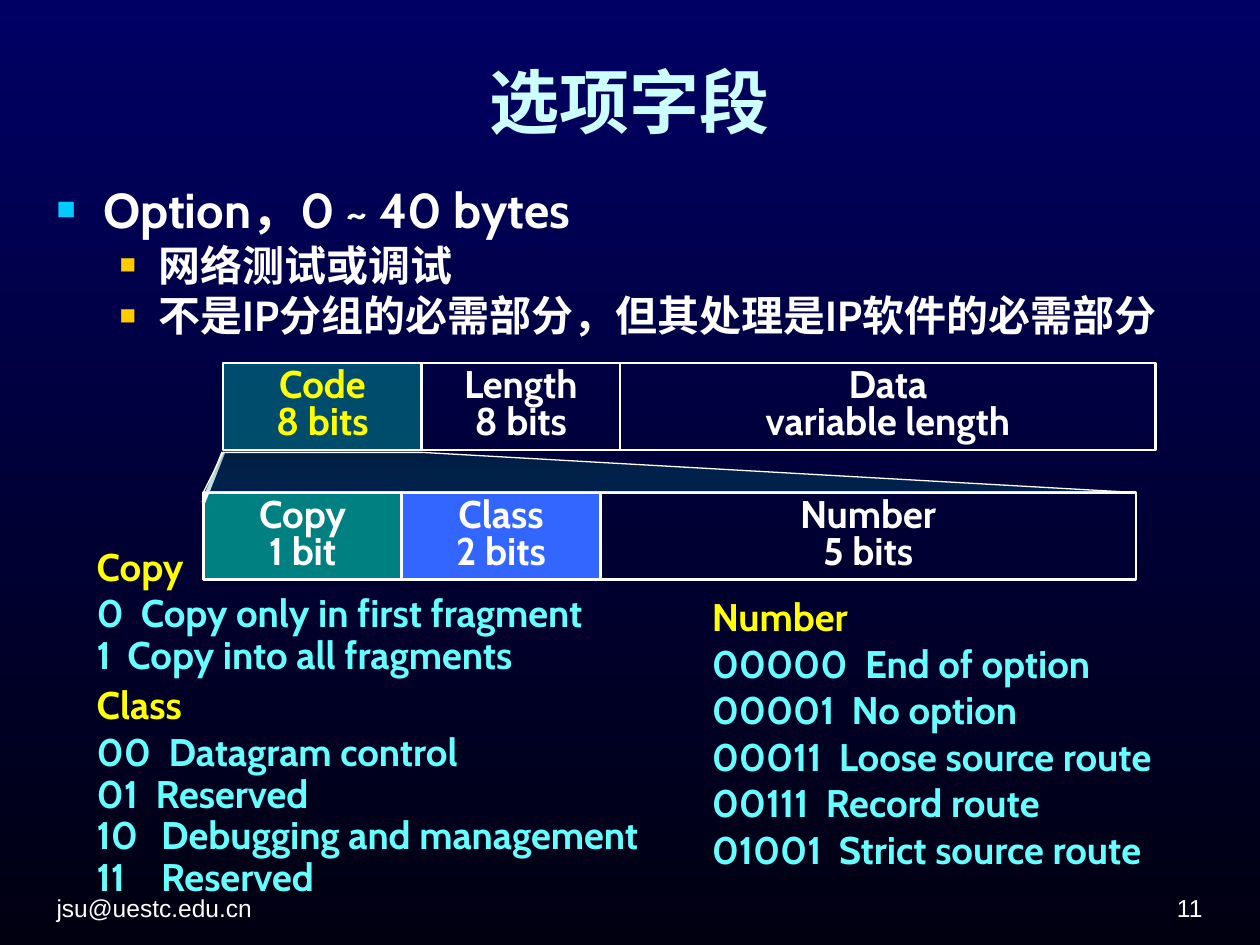
from lxml import etree
from pptx import Presentation
from pptx.dml.color import RGBColor
from pptx.enum import shapes, text
from pptx.oxml.ns import qn
from pptx.util import Cm, Pt

rgb = RGBColor.from_string
WHITE, YELLOW, AQUA = "FFFFFF", "FFFF00", "66FFFF"
LEFT, MID, RIGHT = text.PP_ALIGN.LEFT, text.PP_ALIGN.CENTER, text.PP_ALIGN.RIGHT


def style(par, words, size, color, font="Cabin", bold=True, align=LEFT, gap=1.0):
    par.text = words
    par.alignment = align
    par.line_spacing = gap
    par.font.size = Pt(size)
    par.font.name = font
    par.font.bold = bold
    par.font.color.rgb = rgb(color)


def add_box(x, y, w, h, anchor=text.MSO_ANCHOR.TOP):
    frame = slide.shapes.add_textbox(Cm(x), Cm(y), Cm(w), Cm(h)).text_frame
    frame.word_wrap = True
    frame.vertical_anchor = anchor
    return frame


prs = Presentation()
prs.slide_width, prs.slide_height = Cm(25.4), Cm(19.05)
slide = prs.slides.add_slide(prs.slide_layouts[6])

# Background
back = slide.background.fill
back.gradient()
back.gradient_angle = 270
for stop, color in zip(back.gradient_stops, ("000064", "000010")):
    stop.color.rgb = rgb(color)

# Footer and page number
for x, words, align in ((0.89, "jsu@uestc.edu.cn", LEFT), (18.57, "11", RIGHT)):
    frame = add_box(x, 17.53, 5.92, 1.19, text.MSO_ANCHOR.BOTTOM)
    style(frame.paragraphs[0], words, 14, WHITE, "Arial", False, align)

# Title
frame = add_box(0.89, 0.33, 23.6, 3.4, text.MSO_ANCHOR.MIDDLE)
style(frame.paragraphs[0], "选项字段", 40, "CCFFFF", "Karla", align=MID)

# Bullets: words, size, left margin, hanging indent, bullet colour
points = [
    ("Option，0 ~ 40 bytes", 28, 0.95, 0.95, "00CCFF"),
    ("网络测试或调试", 24, 2.06, 0.79, "FFCC00"),
    ("不是IP分组的必需部分，但其处理是IP软件的必需部分", 24, 2.06, 0.79, "FFCC00"),
]
frame = add_box(0.89, 3.73, 23.6, 4.19)
for i, (words, size, left, hang, color) in enumerate(points):
    par = frame.add_paragraph() if i else frame.paragraphs[0]
    if i:
        par.level = 1
        par.space_before = Pt(6)
    par.line_spacing = 0.8
    props = par._p.get_or_add_pPr()
    props.set("marL", str(Cm(left)))
    props.set("indent", str(-Cm(hang)))
    tint = etree.SubElement(props, qn("a:buClr"))
    etree.SubElement(tint, qn("a:srgbClr"), val=color)
    etree.SubElement(props, qn("a:buSzPct"), val="65000")
    etree.SubElement(props, qn("a:buFont"), typeface="Arial")
    etree.SubElement(props, qn("a:buChar"), char="■")
    style(par, words, size, WHITE, gap=0.8)

# Field rows: name, length, fill, text colour
rows = [
    (4.5, 7.32, [("Code", "8 bits", "009999", YELLOW),
                 ("Length", "8 bits", None, WHITE),
                 ("Data", "variable length", None, WHITE)]),
    (4.1, 9.93, [("Copy", "1 bit", "008080", WHITE),
                 ("Class", "2 bits", "3366FF", WHITE),
                 ("Number", "5 bits", None, WHITE)]),
]
for x, y, cells in rows:
    for (name, bits, fill, color), w in zip(cells, (4, 4, 10.8)):
        cell = slide.shapes.add_shape(shapes.MSO_SHAPE.RECTANGLE,
                                      Cm(x), Cm(y), Cm(w), Cm(1.75))
        x += w
        cell.shadow.inherit = False
        if fill:
            cell.fill.solid()
            cell.fill.fore_color.rgb = rgb(fill)
        else:
            cell.fill.background()
        if name == "Code":
            tint = cell._element.spPr.find(".//" + qn("a:srgbClr"))
            etree.SubElement(tint, qn("a:alpha"), val="50000")
        cell.line.color.rgb = rgb(WHITE)
        cell.line.width = Pt(1.5)
        frame = cell.text_frame
        frame.vertical_anchor = text.MSO_ANCHOR.TOP
        style(frame.paragraphs[0], name, 22, color, align=MID, gap=0.8)
        style(frame.add_paragraph(), bits, 22, color, align=MID, gap=0.8)

# Code lists: box, space after each entry, heading, (code, tab stop, meaning)
lists = [
    ((1.7, 10.92, 11.6, 3.71), 0, "Copy", [
        ("0", 0.89, "Copy only in first fragment"),
        ("1", 0.62, "Copy into all fragments")]),
    ((1.7, 13.72, 12.8, 5.38), 0, "Class", [
        ("00", 1.45, "Datagram control"),
        ("01", 1.19, "Reserved"),
        (None, 1.3, "Debugging and management"),
        (None, 1.3, "Reserved")]),
    ((14.1, 11.94, 10.62, 5.77), 2.8, "Number", [
        ("00000", 3.09, "End of option"),
        ("00001", 2.82, "No option"),
        ("00011", 2.56, "Loose source route"),
        ("00111", 2.3, "Record route"),
        ("01001", 2.56, "Strict source route")]),
]
for place, after, head, items in lists:
    frame = add_box(*place)
    style(frame.paragraphs[0], head, 22, YELLOW, gap=0.9)
    frame.paragraphs[0].space_after = Pt(2.8)
    for code, tab, words in items:
        par = frame.add_paragraph()
        par.line_spacing = 0.9
        par.space_after = Pt(after)
        props = par._p.get_or_add_pPr()
        if code:
            stops = etree.SubElement(props, qn("a:tabLst"))
            etree.SubElement(stops, qn("a:tab"), pos=str(Cm(tab)), algn="l")
            words = f"{code}\t{words}"
        else:  # numbered from 10
            props.set("marL", str(Cm(tab)))
            props.set("indent", str(-Cm(tab)))
            tint = etree.SubElement(props, qn("a:buClr"))
            etree.SubElement(tint, qn("a:srgbClr"), val=AQUA)
            etree.SubElement(props, qn("a:buFont"), typeface="Cabin")
            etree.SubElement(props, qn("a:buAutoNum"), type="arabicPlain", startAt="10")
        style(par, words, 22, AQUA, gap=0.9)

# Edge of the zoom from the code field to its parts
edge = slide.shapes.add_connector(shapes.MSO_CONNECTOR.STRAIGHT,
                                  Cm(4.5), Cm(9.12), Cm(4.1), Cm(10.13))
edge.line.color.rgb = rgb(WHITE)
edge.line.width = Pt(2.25)
etree.SubElement(edge._element.spPr, qn("a:effectLst"))

# Zoom area
path = slide.shapes.build_freeform(Cm(4.5), Cm(9.12))
path.add_line_segments([(Cm(4.1), Cm(9.93)), (Cm(22.9), Cm(9.93)), (Cm(8.5), Cm(9.12))])
zoom = path.convert_to_shape()
zoom.shadow.inherit = False
zoom.fill.gradient()
zoom.fill.gradient_angle = 270
for stop, color in zip(zoom.fill.gradient_stops, ("004747", "009999")):
    stop.color.rgb = rgb(color)
for tint, alpha in zip(zoom._element.spPr.iter(qn("a:srgbClr")), ("40000", "20000")):
    etree.SubElement(tint, qn("a:alpha"), val=alpha)
zoom.line.color.rgb = rgb(WHITE)
zoom.line.width = Pt(0.75)

prs.save("out.pptx")
